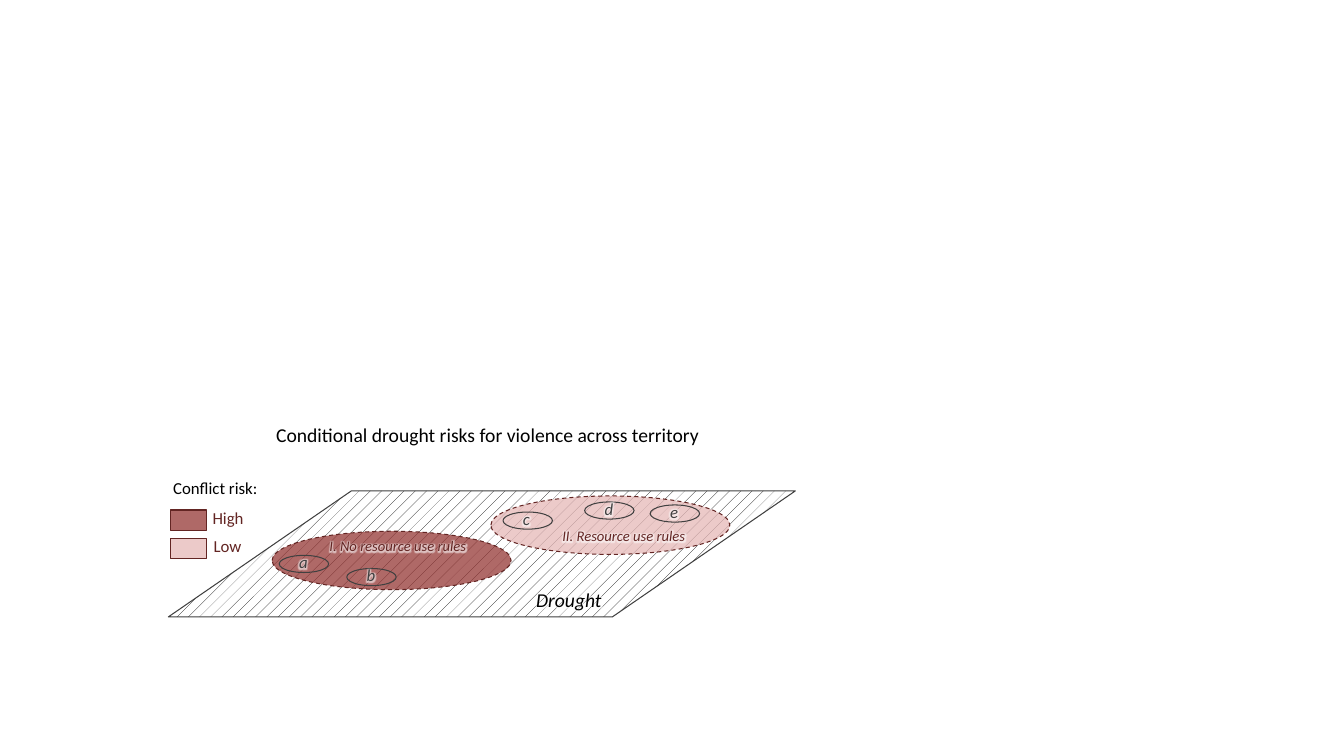
from lxml import etree
from pptx import Presentation
from pptx.dml.color import RGBColor
from pptx.enum.dml import MSO_LINE_DASH_STYLE as Dash, MSO_PATTERN_TYPE as Pattern
from pptx.enum.shapes import MSO_SHAPE as Shape
from pptx.enum.text import MSO_AUTO_SIZE as AutoSize
from pptx.oxml.ns import qn
from pptx.util import Inches, Pt

# Content: positions are columns and rows of a grid with 0.1 inch cells
COLORS = {"high": "953735", "low": "E6B9B8", "maroon": "632523",
          "gray": "404040", "black": "000000", "white": "FFFFFF"}
FONT = "Calibri"
CELL = Inches(0.1)
COLUMNS, ROWS = 133.33, 75

TERRITORY = (16.7, 48.7, 62.2, 12.5)
TERRITORY_SLANT = 1.452
ZONE_SIZE = (23.7, 5.8)
ZONES = [("high", 27, 52.7), ("low", 48.7, 49.2)]
ZONE_LABELS = [("I. No resource use rules", (31.7, 52.8, 15.7, 2.8)),
               ("II. Resource use rules", (54.8, 51.8, 16.2, 2.8))]
DROUGHT = ("Drought", (52.2, 57.8, 10.3, 3.4))

SWATCH_SIZE = (3.6, 2)
LEGEND_LEFT, LEGEND_TOP, LEGEND_STEP = 16.9, 50.6, 2.85
LEGEND = [("high", "High", 3.2), ("low", "Low", 3.3)]
LEGEND_TITLE = ("Conflict risk:", (16.2, 46.9, 13.8, 3))

GROUP_SIZE = (4.9, 1.7)
GROUPS = [("a", 27.7, 55.1), ("b", 34.4, 56.4), ("c", 49.9, 50.8),
          ("d", 58, 49.8), ("e", 64.5, 50.1)]
TITLE = ("Conditional drought risks for violence across territory",
         (26.4, 41.5, 44.5, 3.4))

presentation = Presentation()
presentation.slide_width = round(COLUMNS * CELL)
presentation.slide_height = ROWS * CELL
slide = presentation.slides.add_slide(presentation.slide_layouts[6])


def color(name):
    return RGBColor.from_string(COLORS[name])


def place(box):
    return [round(length * CELL) for length in box]


def set_alpha(color_element, percent):
    etree.SubElement(color_element, qn("a:alpha"), val=str(percent * 1000))


def add_outline(kind, box, line, fill=None, dash=None):
    shape = slide.shapes.add_shape(kind, *place(box))
    shape.shadow.inherit = False
    shape.line.color.rgb = color(line)
    shape.line.width = Pt(0.75)
    if dash:
        shape.line.dash_style = dash
    if fill:
        shape.fill.solid()
        shape.fill.fore_color.rgb = color(fill)
        fill_element = shape.element.spPr.find(qn("a:solidFill"))
        set_alpha(fill_element[0], 75)
    else:
        shape.fill.background()
    return shape


def add_glow(run):
    properties = run.font.fill and run._r.get_or_add_rPr()
    effects = etree.Element(qn("a:effectLst"))
    glow = etree.SubElement(effects, qn("a:glow"), rad=str(Pt(5)))
    set_alpha(etree.SubElement(glow, qn("a:srgbClr"), val=COLORS["white"]), 60)
    properties.find(qn("a:solidFill")).addnext(effects)


def add_label(text, box, size, ink, italic=False, wrap=True, glow=False):
    frame = slide.shapes.add_textbox(*place(box)).text_frame
    frame.word_wrap = wrap
    frame.auto_size = AutoSize.SHAPE_TO_FIT_TEXT
    run = frame.paragraphs[0].add_run()
    run.text = text
    font_format = {"name": FONT, "size": Pt(size), "italic": italic}
    for attribute, value in font_format.items():
        setattr(run.font, attribute, value)
    run.font.color.rgb = color(ink)
    if glow:
        add_glow(run)


# Hatched territory
territory = add_outline(Shape.PARALLELOGRAM, TERRITORY, "gray")
territory.adjustments[0] = TERRITORY_SLANT
territory.fill.patterned()
territory.fill.pattern = Pattern.PERCENT_10
territory.fill.fore_color.rgb = color("black")
territory.fill.back_color.rgb = color("white")

# Zones and their names
for risk, left, top in ZONES:
    add_outline(Shape.OVAL, (left, top, *ZONE_SIZE), "maroon", risk, Dash.DASH)
for text, box in ZONE_LABELS:
    add_label(text, box, 10.5, "maroon", italic=True, glow=True)
add_label(*DROUGHT, 14, "black", italic=True, glow=True)

# Legend
for row, (risk, text, indent) in enumerate(LEGEND):
    top = LEGEND_TOP + row * LEGEND_STEP
    add_outline(Shape.RECTANGLE, (LEGEND_LEFT, top, *SWATCH_SIZE), "maroon", risk)
    add_label(text, (LEGEND_LEFT + indent, top - 0.75, 6.2, 3), 12, "maroon")
add_label(*LEGEND_TITLE, 12, "black")

# Groups inside the zones
for letter, left, top in GROUPS:
    add_outline(Shape.OVAL, (left, top, *GROUP_SIZE), "gray")
    add_label(letter, (left + 1, top - 0.85, 3.3, 3), 12, "gray",
              italic=True, wrap=False, glow=True)

# Title
add_label(*TITLE, 14, "black", wrap=False)

presentation.save("out.pptx")
